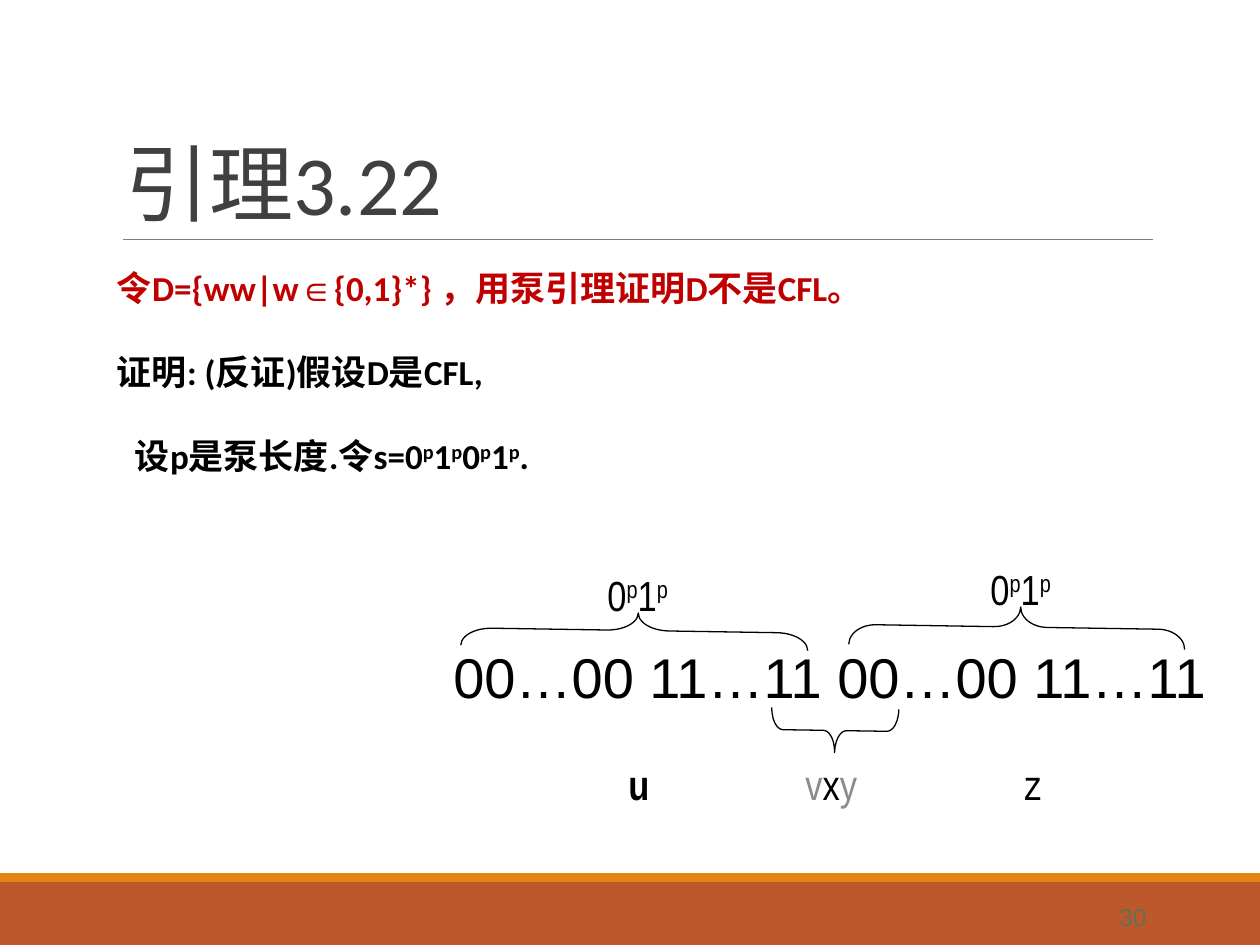
from dataclasses import dataclass

from lxml import etree
from pptx import Presentation
from pptx import util as u
from pptx.dml import color
from pptx.enum import shapes, text
from pptx.oxml import ns


@dataclass(frozen=True)
class Theme:
    black: str = "000000"
    title: str = "404040"
    claim: str = "C00000"
    muted: str = "8C8C8C"
    rule: str = "7F7F7F"
    band: str = "BD582C"
    accent: str = "E48312"
    number: str = "637052"
    body_font: str = "Calibri"
    label_font: str = "Arial Narrow"
    string_font: str = "Arial"
    title_size: int = 48
    body_size: int = 20
    label_size: int = 24
    string_size: int = 32
    number_size: int = 14


THEME = Theme()
PIXEL = u.Inches(1) / 126


def px(*lengths):
    return [u.Emu(round(length * PIXEL)) for length in lengths]


def rgb(value):
    return color.RGBColor.from_string(value)


def set_values(target, values):
    for name, value in values.items():
        setattr(target, name, value)


def powers(*bases):
    return [part for base in bases for part in ((base, {}), ("p", {"raised": True}))]


def add_run(paragraph, content, size, font, colour, bold=False, raised=False):
    run = paragraph.add_run()
    run.text = content
    set_values(run.font, {"size": u.Pt(size), "name": font, "bold": bold})
    run.font.color.rgb = rgb(colour)
    if raised:
        run.font._element.set("baseline", "30000")


def add_text(slide, box, paragraphs, style, frame_format=None):
    frame = slide.shapes.add_textbox(*px(*box)).text_frame
    set_values(frame, {"word_wrap": True, **(frame_format or {})})
    for index, (runs, layout, indent) in enumerate(paragraphs):
        paragraph = frame.paragraphs[0] if index == 0 else frame.add_paragraph()
        set_values(paragraph, layout)
        if indent:
            paragraph._p.get_or_add_pPr().set("marL", str(px(indent)[0]))
        for content, changes in runs:
            add_run(paragraph, content, **{**style, **changes})


def add_label(slide, box, runs, size=THEME.label_size, font=THEME.label_font, before=15):
    style = {"size": size, "font": font, "colour": THEME.black}
    add_text(slide, box, [(runs, {"space_before": u.Pt(before)}, 0)], style)


def add_band(slide, top, height, colour):
    band = slide.shapes.add_shape(shapes.MSO_SHAPE.RECTANGLE, *px(0, top, 1260, height))
    band.shadow.inherit = False
    band.fill.solid()
    band.fill.fore_color.rgb = rgb(colour)
    band.line.fill.background()


def add_rule(slide, left, right, top):
    rule = slide.shapes.add_connector(
        shapes.MSO_CONNECTOR.STRAIGHT, *px(left, top, right, top))
    rule.line.color.rgb = rgb(THEME.rule)
    rule.line.width = u.Pt(0.5)
    etree.SubElement(rule._element.spPr, ns.qn("a:effectLst"))


def add_brace(slide, box, rotation, curve, tip):
    brace = slide.shapes.add_shape(shapes.MSO_SHAPE.LEFT_BRACE, *px(*box))
    brace.shadow.inherit = False
    brace.rotation = rotation
    brace.adjustments[0] = curve
    brace.adjustments[1] = tip
    brace.fill.background()
    brace.line.color.rgb = rgb(THEME.black)
    brace.line.width = u.Pt(0.75)


def add_title(slide):
    style = {"size": THEME.title_size, "font": THEME.body_font, "colour": THEME.title}
    add_text(slide, (113, 39, 1040, 200),
             [([("引理3.22", {})], {"line_spacing": 0.85}, 0)], style,
             {"vertical_anchor": text.MSO_ANCHOR.BOTTOM})


def add_proof(slide):
    claim = {"colour": THEME.claim}
    lines = [
        ([("令D={ww|w", claim),
          ("∈", {**claim, "font": THEME.string_font}),
          ("{0,1}*} ，用泵引理证明D不是CFL。", claim)], 0.9, 12),
        ([("证明: (反证)假设D是CFL,", {})], 1.5, 12),
        ([("设p是泵长度.令s=", {}), *powers("0", "1", "0", "1"), (".", {})], 1.5, 30),
    ]
    paragraphs = [
        (runs, {"line_spacing": spacing, "space_before": u.Pt(12)}, indent)
        for runs, spacing, indent in lines]
    style = {"size": THEME.body_size, "font": THEME.body_font,
             "colour": THEME.black, "bold": True}
    add_text(slide, (105, 265, 1022, 586), paragraphs, style,
             {"margin_left": 0, "margin_right": 0})


def add_diagram(slide):
    for box, rotation, curve, tip in (
            ((617, 457, 35, 347), 90.9, 0.89, 0.49),
            ((997, 459, 40, 336), 90.9, 0.67, 0.49),
            ((813, 667, 44, 127), 270.9, 0.26, 0.5)):
        add_brace(slide, box, rotation, curve, tip)
    for left, top in ((595, 563), (978, 557)):
        add_label(slide, (left, top, 95, 63), powers("0", "1"))
    muted = {"colour": THEME.muted}
    for left, width, runs in (
            (616, 63, [("u", {"bold": True})]),
            (793, 84, [("v", muted), ("x", {}), ("y", muted)]),
            (1012, 74, [("z", {})])):
        add_label(slide, (left, 752, width, 63), runs)
    add_label(slide, (441, 636, 784, 147), [("00…00 11…11 00…00 11…11", {})],
              THEME.string_size, THEME.string_font, 20)


def add_slide_number(slide):
    style = {"size": THEME.number_size, "font": THEME.string_font, "colour": THEME.number}
    add_text(slide, (1040, 895, 119, 44),
             [([("30", {})], {"alignment": text.PP_ALIGN.RIGHT}, 0)], style,
             {"vertical_anchor": text.MSO_ANCHOR.MIDDLE})


def main():
    presentation = Presentation()
    presentation.slide_width, presentation.slide_height = px(1260, 945)
    slide = presentation.slides.add_slide(presentation.slide_layouts[6])
    add_band(slide, 882, 63, THEME.band)
    add_band(slide, 873, 9, THEME.accent)
    add_rule(slide, 123, 1153, 239)
    add_title(slide)
    add_proof(slide)
    add_diagram(slide)
    add_slide_number(slide)
    presentation.save("out.pptx")


main()
